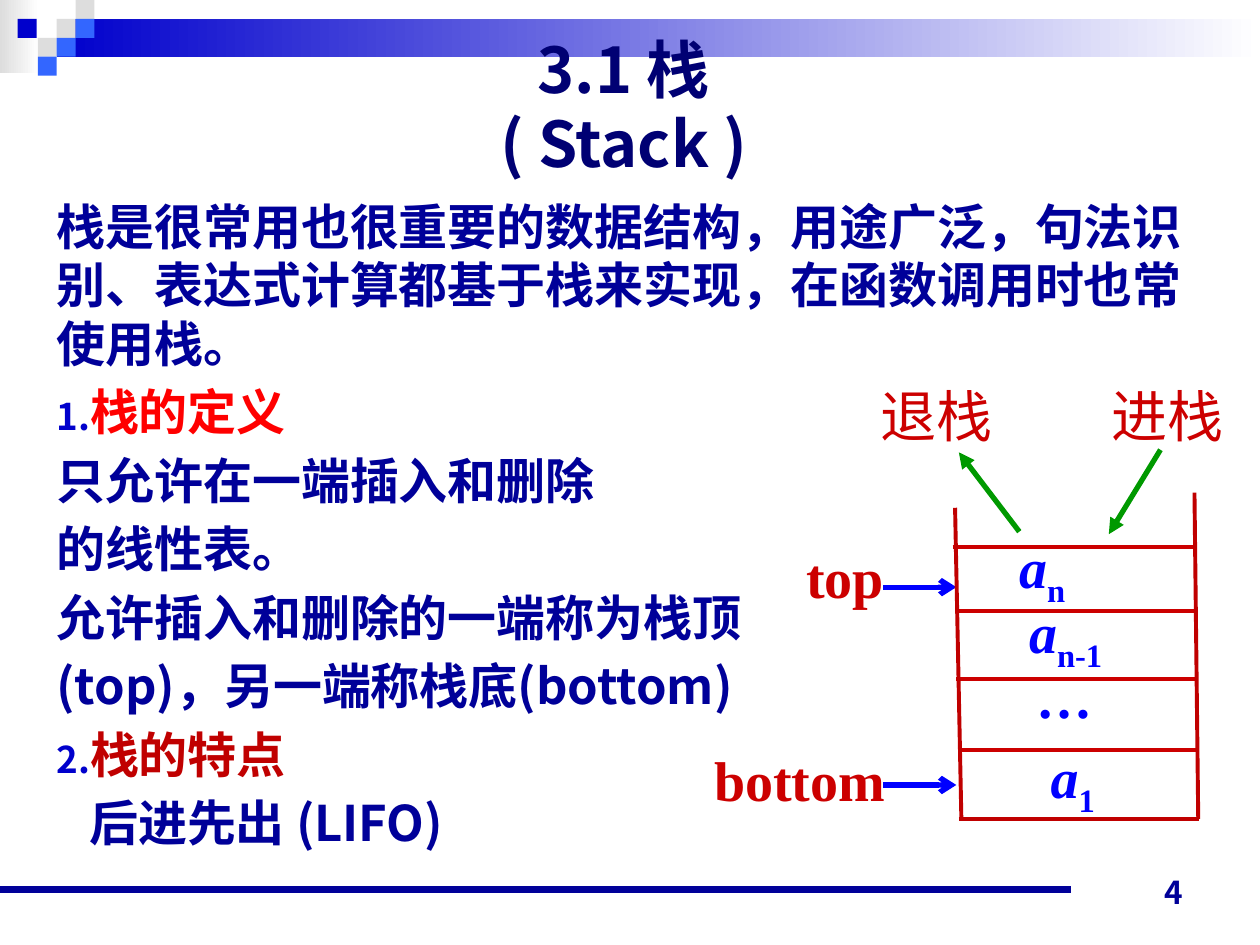
from dataclasses import dataclass

from lxml import etree
from pptx import Presentation
from pptx.dml.color import RGBColor
from pptx.enum.shapes import MSO_CONNECTOR, MSO_SHAPE
from pptx.enum.text import MSO_ANCHOR, MSO_AUTO_SIZE, PP_ALIGN
from pptx.oxml.ns import qn
from pptx.util import Emu, Pt

PX = 9144  # 100 px to the inch
SANS_SC, SANS_JP, SERIF = "Noto Sans CJK SC", "Noto Sans CJK JP", "Times New Roman"
NAVY, BLUE, RED, DARK_RED, GREEN = "000099", "0000FF", "CC0000", "C00000", "009900"
GREY, BAND_BLUE, LIGHT_BLUE = "DDDDDD", "0000CC", "3366FF"


@dataclass
class Label:
    text: str
    x: int
    y: int
    w: int
    color: str = RED
    bold: bool = True
    italic: bool = False
    sub: str = ""


@dataclass
class Line:
    x1: int
    y1: int
    x2: int
    y2: int
    color: str
    width: float
    head: str = ""


@dataclass
class Para:
    text: str
    color: str = NAVY
    number: int = 0
    indent: int = 0


def px(n: int) -> Emu:
    return Emu(n * PX)


def rgb(color: str) -> RGBColor:
    return RGBColor.from_string(color)


def style(r, font: str, size: int, color: str, bold=True, italic=False) -> None:
    f = r.font
    f.name, f.size, f.bold, f.italic = font, Pt(size), bold, italic
    f.color.rgb = rgb(color)
    ea = etree.SubElement(r._r.get_or_add_rPr(), qn("a:ea"))
    ea.set("typeface", SANS_JP if font == SANS_JP else SANS_SC)


def add_rect(s, x: int, y: int, w: int, h: int, color: str, fade: bool = False) -> None:
    sp = s.shapes.add_shape(MSO_SHAPE.RECTANGLE, px(x), px(y), px(w), px(h))
    sp.shadow.inherit = False
    sp.line.fill.background()
    if fade:
        sp.fill.gradient()
        sp.fill.gradient_angle = 0
        for stop, c in zip(sp.fill.gradient_stops, (color, "FFFFFF")):
            stop.color.rgb = rgb(c)
    else:
        sp.fill.solid()
        sp.fill.fore_color.rgb = rgb(color)


def add_line(s, ln: Line) -> None:
    c = s.shapes.add_connector(MSO_CONNECTOR.STRAIGHT, px(ln.x1), px(ln.y1), px(ln.x2), px(ln.y2))
    c.line.color.rgb = rgb(ln.color)
    c.line.width = Pt(ln.width)
    if ln.head:
        etree.SubElement(c.line._get_or_add_ln(), qn("a:tailEnd")).set("type", ln.head)
    etree.SubElement(c._element.spPr, qn("a:effectLst"))


def add_label(s, lb: Label) -> None:
    tf = s.shapes.add_textbox(px(lb.x), px(lb.y), px(lb.w), px(63)).text_frame
    tf.word_wrap = False
    tf.auto_size = MSO_AUTO_SIZE.SHAPE_TO_FIT_TEXT
    p = tf.paragraphs[0]
    p.text = lb.text
    style(p.runs[0], SERIF, 32, lb.color, lb.bold, lb.italic)
    if lb.sub:
        r = p.add_run()
        r.text = lb.sub
        style(r, SERIF, 32, lb.color, lb.bold)
        r._r.get_or_add_rPr().set("baseline", "-25000")


def add_number(p, start: int) -> None:
    pPr = p._p.get_or_add_pPr()
    color = etree.SubElement(pPr, qn("a:buClr"))
    etree.SubElement(color, qn("a:srgbClr")).set("val", BAND_BLUE)
    etree.SubElement(pPr, qn("a:buSzPct")).set("val", "75000")
    num = etree.SubElement(pPr, qn("a:buAutoNum"))
    num.set("type", "arabicPeriod")
    num.set("startAt", str(start))


def add_body(s, paras: list[Para]) -> None:
    tf = s.shapes.add_textbox(px(35), px(151), px(926), px(555)).text_frame
    tf.word_wrap = True
    for i, para in enumerate(paras):
        p = tf.paragraphs[0] if i == 0 else tf.add_paragraph()
        p.text = para.text
        p.line_spacing = Pt(33.5)
        p.space_before = Pt(5.6 if i else 0)
        pPr = p._p.get_or_add_pPr()
        pPr.set("marL", str(px(para.indent)))
        pPr.set("indent", str(px(-para.indent if para.number else 0)))
        if para.number:
            add_number(p, para.number)
        style(p.runs[0], SANS_SC, 28, para.color)


def add_title(s) -> None:
    sp = s.shapes.title
    sp.left, sp.top, sp.width, sp.height = px(301), px(56), px(388), px(57)
    sp.element.getparent().append(sp.element)  # in front of the band
    tf = sp.text_frame
    tf.text = "3.1 栈\v( Stack )"
    tf.vertical_anchor = MSO_ANCHOR.MIDDLE
    tf.auto_size = MSO_AUTO_SIZE.NONE
    p = tf.paragraphs[0]
    p.alignment = PP_ALIGN.CENTER
    p.line_spacing = Pt(42.3)
    for r in p.runs:
        style(r, SANS_JP, 36, "000073")


def add_page_number(s) -> None:
    tf = s.shapes.add_textbox(px(716), px(678), px(233), px(50)).text_frame
    tf.word_wrap = True
    tf.vertical_anchor = MSO_ANCHOR.BOTTOM
    p = tf.paragraphs[0]
    p.text = "4"
    p.alignment = PP_ALIGN.RIGHT
    style(p.runs[0], SANS_JP, 18, NAVY)


PARAS = [
    Para("栈是很常用也很重要的数据结构，用途广泛，句法识别、表达式计算都基于栈来实现，在函数调用时也常使用栈。"),
    Para("栈的定义", "FF0000", number=1, indent=26),
    Para("只允许在一端插入和删除"),
    Para("的线性表。"),
    Para("允许插入和删除的一端称为栈顶"),
    Para("(top)，另一端称栈底(bottom)"),
    Para("栈的特点", DARK_RED, number=2, indent=26),
    Para("后进先出 (LIFO)", indent=26),
]
LABELS = [
    Label("退栈", 689, 298, 109, bold=False),
    Label("进栈", 872, 298, 109, bold=False),
    Label("a", 799, 418, 59, BLUE, italic=True, sub="n"),
    Label("a", 807, 469, 83, BLUE, italic=True, sub="n-1"),
    Label("…", 814, 521, 65, BLUE, italic=True),
    Label("a", 824, 584, 57, BLUE, italic=True, sub="1"),
    Label("top", 630, 426, 82),
    Label("bottom", 557, 587, 156),
]
ARROWS = [Line(701, y, 759, y, BLUE, 3, "arrow") for y in (466, 623)] + [
    Line(921, 357, 880, 424, GREEN, 3, "triangle"),
    Line(809, 422, 761, 359, GREEN, 3, "triangle"),
]
SHELVES = [(756, 948, 434), (758, 949, 485), (759, 951, 539), (761, 949, 595)]
STACK = [Line(x1, y, x2, y, RED, 2.25) for x1, x2, y in SHELVES] + [
    Line(758, 403, 763, 650, DARK_RED, 2.25),
    Line(761, 650, 952, 650, DARK_RED, 2.25),
    Line(948, 391, 951, 650, DARK_RED, 2.25),
]
SQUARES = [(45, 15, GREY), (60, 0, GREY), (60, 15, LIGHT_BLUE), (30, 30, GREY),
           (14, 15, BAND_BLUE), (45, 30, LIGHT_BLUE), (30, 45, LIGHT_BLUE)]


def main() -> None:
    prs = Presentation()
    prs.slide_width, prs.slide_height = px(1000), px(750)
    s = prs.slides.add_slide(prs.slide_layouts[5])

    # Header band, mosaic and footer rule
    add_rect(s, 0, 0, 31, 58, GREY, fade=True)
    add_rect(s, 45, 15, 955, 30, BAND_BLUE, fade=True)
    for x, y, color in SQUARES:
        add_rect(s, x, y, 15, 15, color)
    add_line(s, Line(0, 706, 850, 706, NAVY, 4.5))

    # Text
    add_page_number(s)
    add_body(s, PARAS)
    add_title(s)

    # Stack diagram
    for lb in LABELS:
        add_label(s, lb)
    for ln in ARROWS + STACK:
        add_line(s, ln)
    prs.save("out.pptx")


if __name__ == "__main__":
    main()
